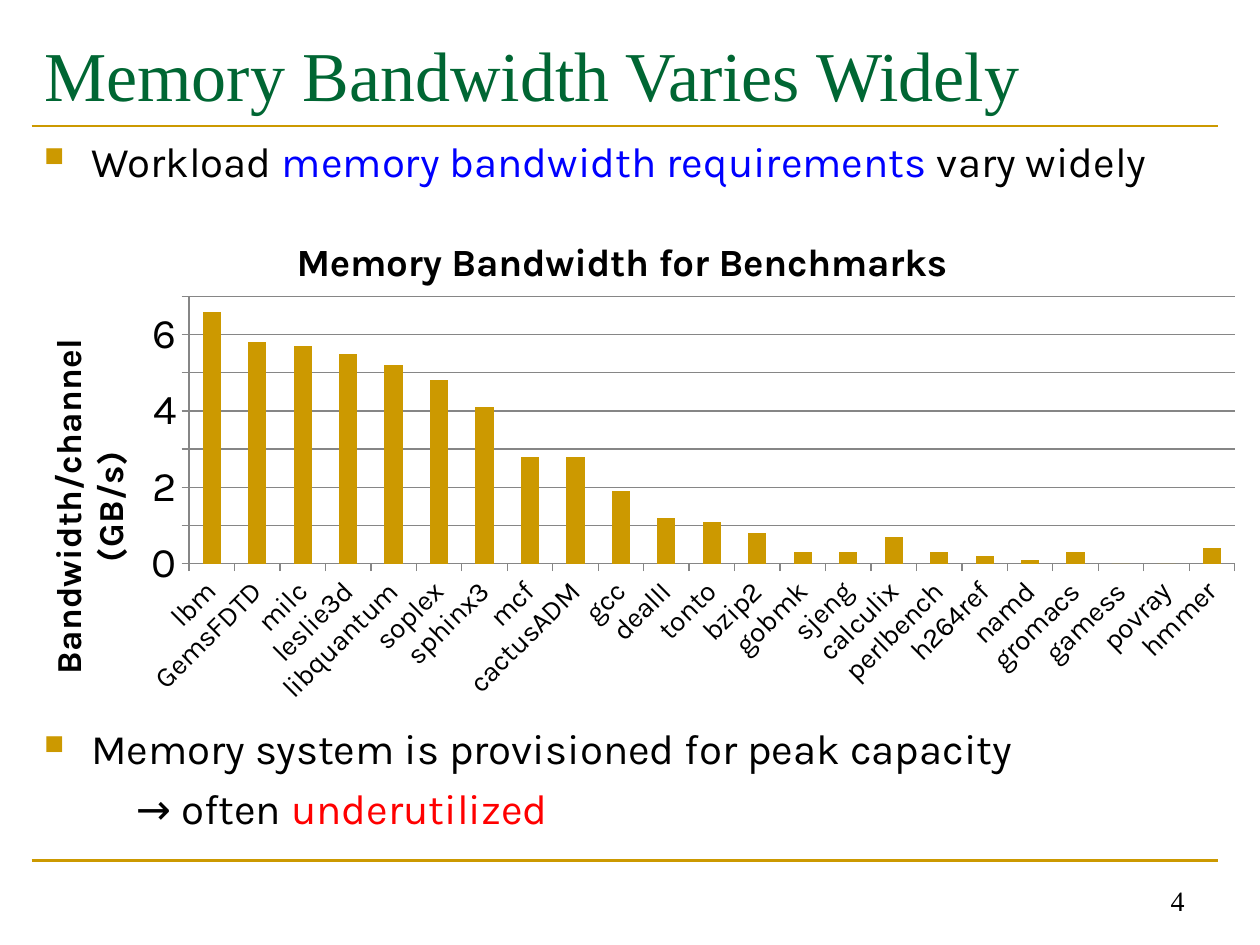
from lxml import etree
from pptx import Presentation
from pptx.chart.data import CategoryChartData
from pptx.dml.color import RGBColor
from pptx.enum.chart import XL_CHART_TYPE as ChartType, XL_TICK_MARK as TickMark
from pptx.enum.shapes import MSO_CONNECTOR as Connector
from pptx.enum.text import MSO_ANCHOR as Anchor, PP_ALIGN as Align
from pptx.oxml import parse_xml
from pptx.oxml.ns import nsdecls, qn
from pptx.util import Cm, Pt

COLORS = {"gold": "CC9900", "green": "006633", "blue": "0000FF",
          "red": "FF0000", "black": "000000", "gray": "868686"}
BANDWIDTH = {
    "lbm": 6.6, "GemsFDTD": 5.8, "milc": 5.7, "leslie3d": 5.5,
    "libquantum": 5.2, "soplex": 4.8, "sphinx3": 4.1, "mcf": 2.8,
    "cactusADM": 2.8, "gcc": 1.9, "dealII": 1.2, "tonto": 1.1,
    "bzip2": 0.8, "gobmk": 0.3, "sjeng": 0.3, "calculix": 0.7,
    "perlbench": 0.3, "h264ref": 0.2, "namd": 0.1, "gromacs": 0.3,
    "gamess": 0, "povray": 0, "hmmer": 0.4,
}


def style(font, color="black", **values):
    values = {"name": "Karla", "size": Pt(24), **values}
    for name, value in values.items():
        setattr(font, name, value)
    font.color.rgb = RGBColor.from_string(COLORS[color])


def chart_layout(**values):
    """Build a manual layout, in fractions of the chart's size."""
    inner = '<c:layoutTarget val="inner"/>' if "w" in values else ""
    modes = '<c:xMode val="edge"/><c:yMode val="edge"/>'
    sizes = "".join(f'<c:{key} val="{value}"/>' for key, value in values.items())
    return parse_xml(f'<c:layout {nsdecls("c")}><c:manualLayout>'
                     f'{inner}{modes}{sizes}</c:manualLayout></c:layout>')


deck = Presentation()
deck.slide_width, deck.slide_height = Cm(25.4), Cm(19.05)
page = deck.slides.add_slide(deck.slide_layouts[5])

# Rules above and below the content
for y in (Cm(2.54), Cm(17.35)):
    rule = page.shapes.add_connector(Connector.STRAIGHT, Cm(0.64), y, Cm(24.56), y)
    rule.line.color.rgb = RGBColor.from_string(COLORS["gold"])
    rule.line.width = Pt(1.5)
    etree.SubElement(rule._element.spPr, qn("a:effectLst"))

# Title
title = page.shapes.title
title.left, title.top, title.width, title.height = Cm(0.64), Cm(0.43), Cm(23.93), Cm(2.11)
title.text_frame.text = "Memory Bandwidth Varies Widely"
title.text_frame.vertical_anchor = Anchor.MIDDLE
heading = title.text_frame.paragraphs[0]
heading.alignment = Align.LEFT
style(heading.runs[0].font, "green", name="Times New Roman", size=Pt(40))

# Statements around the chart: (top, height, [(has bullet, spans)])
statements = [
    (2.6, 1.3, [(True, [("Workload ", "black"),
                        ("memory bandwidth requirements ", "blue"),
                        ("vary widely", "black")])]),
    (14.45, 2.7, [(True, [("Memory system is provisioned for peak capacity", "black")]),
                  (False, [("→ often ", "black"), ("underutilized", "red")])]),
]
for top, height, lines in statements:
    box = page.shapes.add_textbox(Cm(0.64), Cm(top), Cm(23.93), Cm(height))
    box.text_frame.word_wrap = True
    for index, (has_bullet, spans) in enumerate(lines):
        para = box.text_frame.paragraphs[0] if index == 0 else box.text_frame.add_paragraph()
        if index:
            para.space_before = Pt(5)
        props = para._p.get_or_add_pPr()
        props.set("marL", str(Cm(0.95 if has_bullet else 1.85)))
        if has_bullet:
            props.set("indent", str(-Cm(0.95)))
            color = etree.SubElement(props, qn("a:buClr"))
            etree.SubElement(color, qn("a:srgbClr"), val=COLORS["gold"])
            etree.SubElement(props, qn("a:buSzPct"), val="65000")
            etree.SubElement(props, qn("a:buChar"), char="■")
        for text, color_name in spans:
            span = para.add_run()
            span.text = text
            style(span.font, color_name)

# Bandwidth chart
data = CategoryChartData()
data.categories = list(BANDWIDTH)
data.add_series("Series 1", list(BANDWIDTH.values()))
chart = page.shapes.add_chart(ChartType.COLUMN_CLUSTERED, Cm(0), Cm(4.01),
                              Cm(25.4), Cm(10.36), data).chart
style(chart.font, size=Pt(10))
chart.has_legend = False
plot = chart.plots[0]
plot.gap_width = 150
plot.vary_by_categories = False
bars = plot.series[0].format.fill
bars.solid()
bars.fore_color.rgb = RGBColor.from_string(COLORS["gold"])

categories, values = chart.category_axis, chart.value_axis
for name, value in {"minimum_scale": 0, "maximum_scale": 7, "major_unit": 1,
                    "has_major_gridlines": True}.items():
    setattr(values, name, value)
values.tick_labels.number_format = "0"
values.tick_labels.number_format_is_linked = False
for axis, size in ((categories, 16), (values, 24)):
    axis.major_tick_mark = TickMark.OUTSIDE
    style(axis.tick_labels.font, size=Pt(size))
for line in (categories.format.line, values.format.line, values.major_gridlines.format.line):
    line.color.rgb = RGBColor.from_string(COLORS["gray"])
    line.width = Pt(0.75)
categories._element.find(qn("c:txPr")).find(qn("a:bodyPr")).set("rot", "-2700000")

# Chart and axis titles: (owner, text, size, x, y)
for owner, text, size, x, y in (
        (chart, "Memory Bandwidth for Benchmarks", 22, 0.23, 0.06),
        (values, "Bandwidth/channel (GB/s)", 20, 0.03, 0.26)):
    owner.has_title = True
    label = owner.chart_title if owner is chart else owner.axis_title
    frame = label.text_frame
    frame.text = text
    style(frame.paragraphs[0].runs[0].font, size=Pt(size), bold=True)
    if owner is values:
        frame._txBody.find(qn("a:bodyPr")).set("rot", "-5400000")
    for old in label._element.findall(qn("c:layout")):
        label._element.remove(old)
    label._element.find(qn("c:tx")).addnext(chart_layout(x=x, y=y))

area = chart._chartSpace.chart.plotArea
for old in area.findall(qn("c:layout")):
    area.remove(old)
area.insert(0, chart_layout(x=0.15, y=0.19, w=0.83, h=0.52))

# Page number
box = page.shapes.add_textbox(Cm(18.21), Cm(17.35), Cm(5.92), Cm(1.27))
box.text_frame.word_wrap = True
box.text_frame.vertical_anchor = Anchor.BOTTOM
box.text_frame.text = "4"
number = box.text_frame.paragraphs[0]
number.alignment = Align.RIGHT
style(number.runs[0].font, name="Times New Roman", size=Pt(16))

deck.save("out.pptx")
